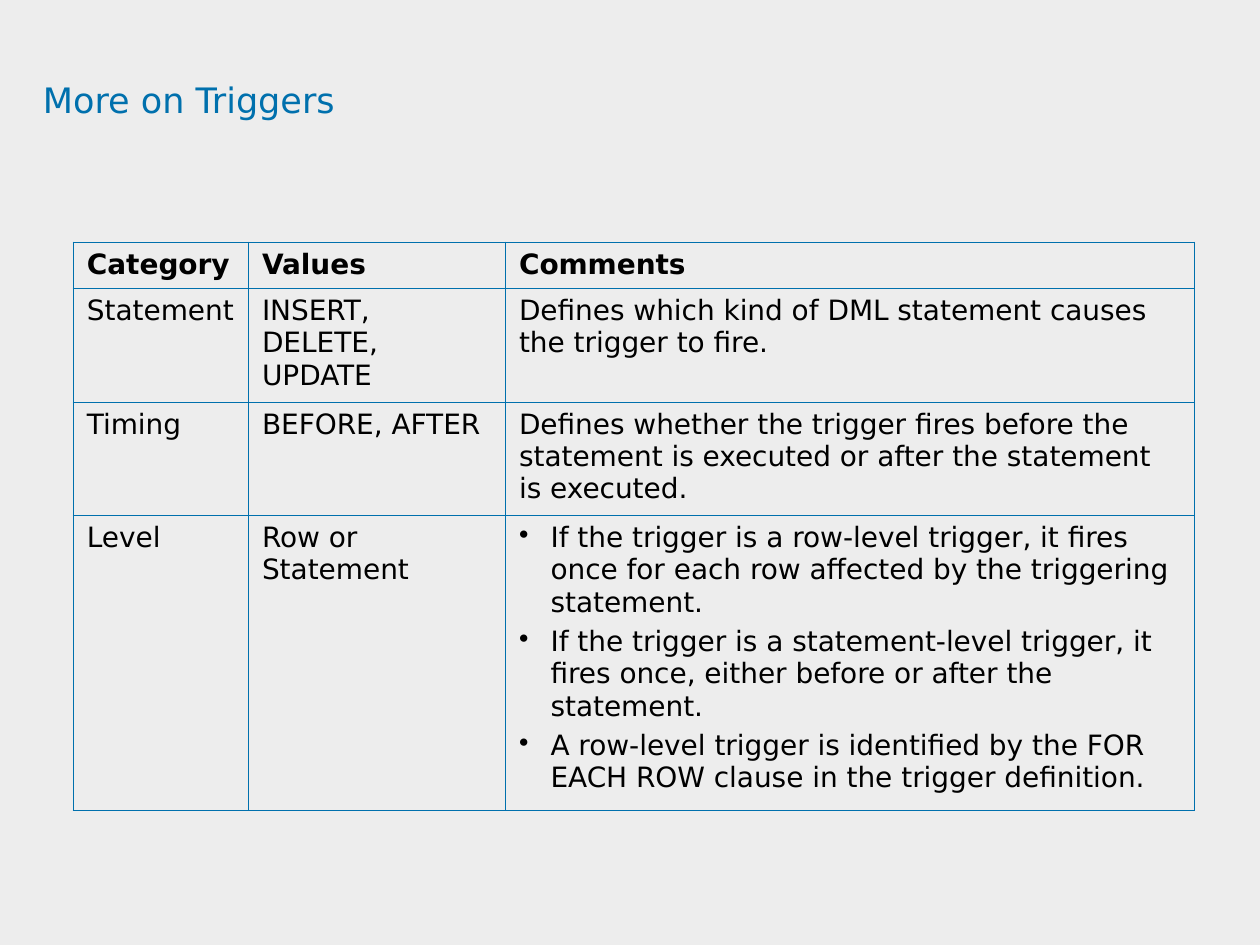
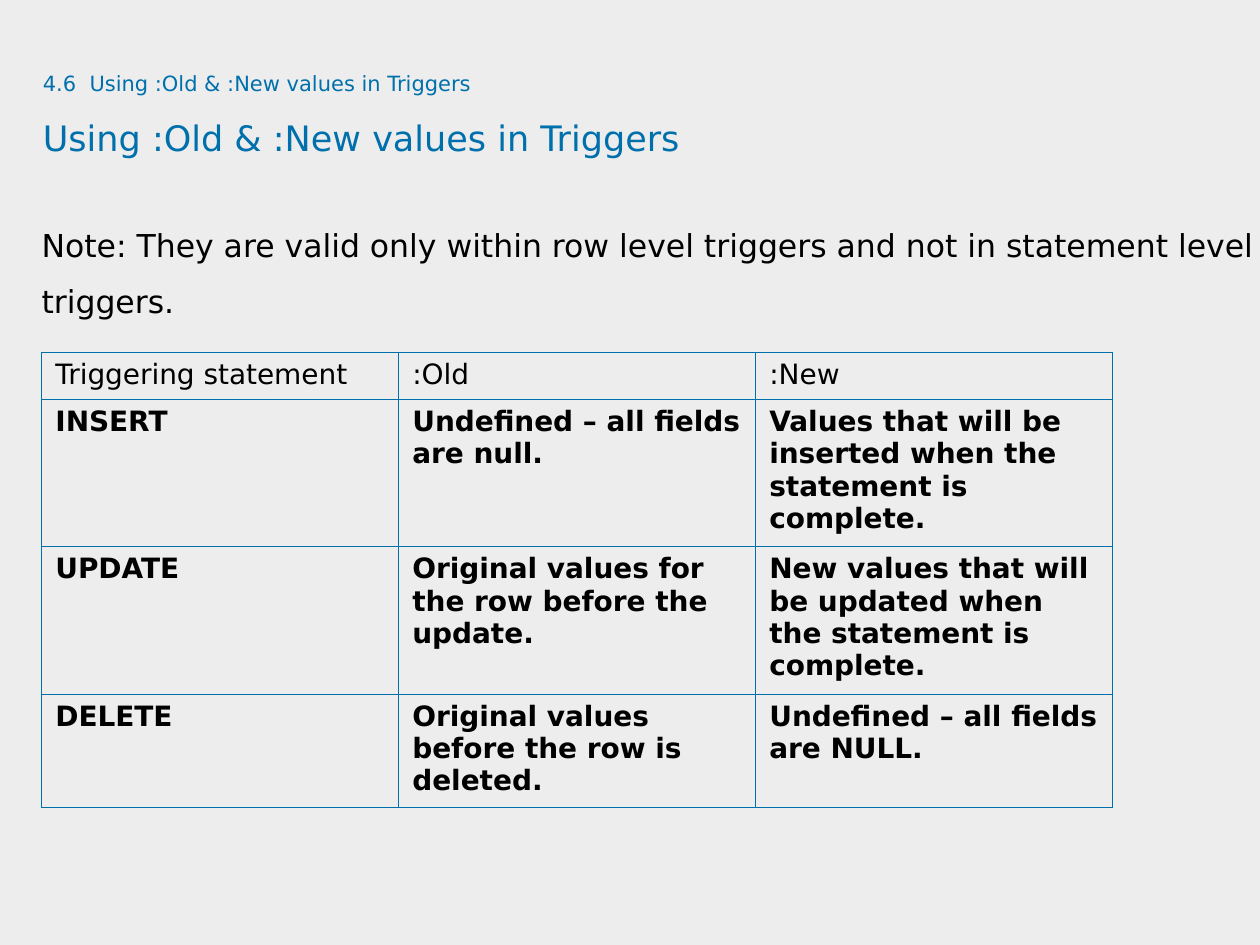
from lxml import etree
from pptx import Presentation
from pptx import util as u
from pptx.dml.color import RGBColor
from pptx.oxml.ns import qn

FONT = "DejaVu Sans"
BACKGROUND, BLUE, BLACK = "EDEDED", "0070AD", "000000"
TITLE_BOX = (0.34, 0.46, 9.09, 0.94)
NOTE_BOX = (0.33, 1.64, 9.67, 5.08)
BORDER_POINTS = 0.45

SLIDES = [
    {
        "title": [("More on Triggers", 20)],
        "note": None,
        "table": {
            "at": (0.58, 1.92),
            "columns": [1.39, 2.04, 5.47],
            "heights": [0.37, 0.9, 0.9, 2.34],
            "bold_header": True,
            "rows": [
                ("Category", "Values", "Comments"),
                ("Statement", "INSERT, DELETE, UPDATE",
                 "Defines which kind of DML statement causes the trigger to fire."),
                ("Timing", "BEFORE, AFTER",
                 "Defines whether the trigger fires before the statement is executed "
                 "or after the statement is executed."),
                ("Level", "Row or Statement", [
                    "If the trigger is a row-level trigger, it fires once for each row "
                    "affected by the triggering statement.",
                    "If the trigger is a statement-level trigger, it fires once, either "
                    "before or after the statement.",
                    "A row-level trigger is identified by the FOR EACH ROW clause in the "
                    "trigger definition.",
                ]),
            ],
        },
    },
    {
        "title": [("4.6  Using :Old & :New values in Triggers", 12),
                  ("Using :Old & :New values in Triggers", 20)],
        "note": "Note: They are valid only within row level triggers and not in "
                "statement level triggers.",
        "table": {
            "at": (0.33, 2.8),
            "columns": [8.5 / 3] * 3,
            "heights": [0.37, 1.17, 1.17, 0.9],
            "bold_header": False,
            "rows": [
                ("Triggering statement", ":Old", ":New"),
                ("INSERT", "Undefined – all fields are null.",
                 "Values that will be inserted when the statement is complete."),
                ("UPDATE", "Original values for the row before the update.",
                 "New values that will be updated when the statement is complete."),
                ("DELETE", "Original values before the row is deleted.",
                 "Undefined – all fields are NULL."),
            ],
        },
    },
]


def color(value):
    return RGBColor.from_string(value)


def set_font(paragraph, size, value, bold=False):
    font = paragraph.font
    font.name, font.size, font.bold = FONT, u.Pt(size), bold
    font.color.rgb = color(value)


def add_text(slide, box, lines, value):
    shape = slide.shapes.add_textbox(*map(u.Inches, box))
    frame = shape.text_frame
    frame.word_wrap = True
    frame.margin_left = frame.margin_top = frame.margin_right = frame.margin_bottom = 0
    for index, (words, size) in enumerate(lines):
        paragraph = frame.add_paragraph() if index else frame.paragraphs[0]
        paragraph.text = words
        paragraph.line_spacing = 1.5
        set_font(paragraph, size, value)


def add_bullet(paragraph):
    properties = paragraph._p.get_or_add_pPr()
    properties.set("marL", str(u.Inches(0.25)))
    properties.set("indent", str(-u.Inches(0.25)))
    bullet_color = etree.SubElement(properties, qn("a:buClr"))
    etree.SubElement(bullet_color, qn("a:srgbClr"), val=BLACK)
    etree.SubElement(properties, qn("a:buChar"), char="•")


def add_borders(cell):
    properties = cell._tc.get_or_add_tcPr()
    for side in "LRTB":
        line = etree.SubElement(properties, qn(f"a:ln{side}"), w=str(u.Pt(BORDER_POINTS)))
        fill = etree.SubElement(line, qn("a:solidFill"))
        etree.SubElement(fill, qn("a:srgbClr"), val=BLUE)


def fill_cell(cell, content, bold):
    add_borders(cell)
    cell.fill.background()
    cell.margin_left = cell.margin_right = u.Inches(0.11)
    cell.margin_top = cell.margin_bottom = u.Inches(0.05)
    bulleted = isinstance(content, list)
    for index, words in enumerate(content if bulleted else [content]):
        frame = cell.text_frame
        paragraph = frame.add_paragraph() if index else frame.paragraphs[0]
        paragraph.text = words
        if index:
            paragraph.space_before = u.Pt(4)
        if bulleted:
            add_bullet(paragraph)
        set_font(paragraph, 16, BLACK, bold)


def add_trigger_table(slide, at, columns, heights, bold_header, rows):
    size = (sum(columns), sum(heights))
    table = slide.shapes.add_table(
        len(rows), len(columns), *map(u.Inches, at + size)).table
    table.first_row = table.horz_banding = False
    for column, width in zip(table.columns, columns):
        column.width = u.Inches(width)
    for row, height in zip(table.rows, heights):
        row.height = u.Inches(height)
    for row_index, row in enumerate(rows):
        bold = (row_index == 0) == bold_header
        for column_index, content in enumerate(row):
            fill_cell(table.cell(row_index, column_index), content, bold)


def main():
    presentation = Presentation()
    presentation.slide_width, presentation.slide_height = u.Inches(10), u.Inches(7.5)
    for content in SLIDES:
        slide = presentation.slides.add_slide(presentation.slide_layouts[6])
        slide.background.fill.solid()
        slide.background.fill.fore_color.rgb = color(BACKGROUND)
        add_text(slide, TITLE_BOX, content["title"], BLUE)
        if content["note"]:
            add_text(slide, NOTE_BOX, [(content["note"], 18)], BLACK)
        add_trigger_table(slide, **content["table"])
    presentation.save("out.pptx")


if __name__ == "__main__":
    main()
